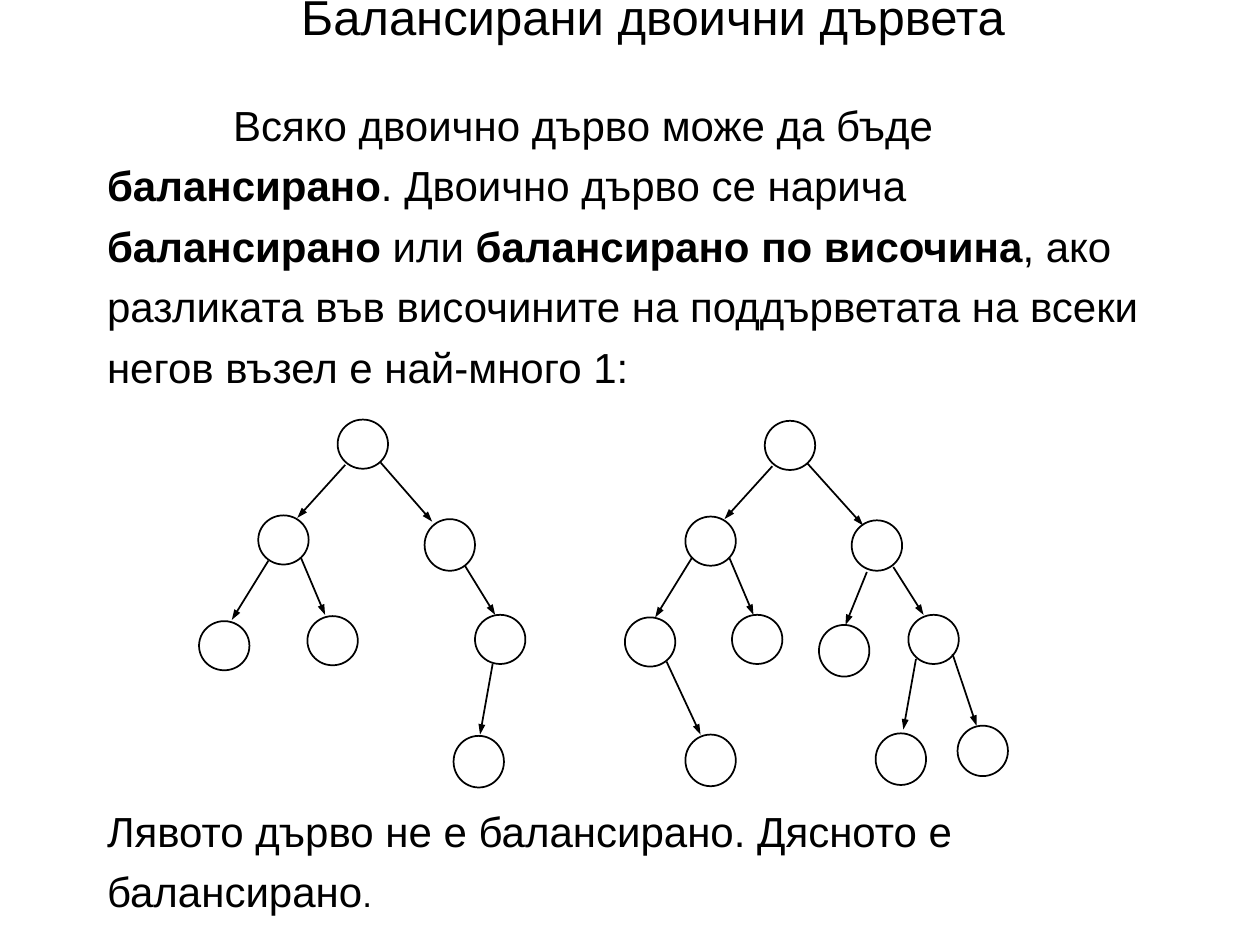
"""Build a slide about balanced binary trees with two example trees."""
from dataclasses import dataclass

from lxml.etree import SubElement
from pptx import Presentation
from pptx.dml.color import RGBColor
from pptx.enum.shapes import MSO_CONNECTOR as Connector, MSO_SHAPE as Shape
from pptx.enum.text import MSO_ANCHOR as Anchor, PP_ALIGN as Align
from pptx.oxml.ns import qn
from pptx.util import Inches, Pt


@dataclass(frozen=True)
class Theme:
    font: str = "Arial"
    ink: RGBColor = RGBColor(0, 0, 0)
    title: int = 28
    body: int = 24
    small: int = 20
    line: int = 1
    spacing: float = 1.2


THEME = Theme()
NODE_WIDTH = 0.4
TITLE = "Балансирани двоични дървета"
TITLE_BOX = (2.39, -0.11, 5.8, 0.45)

PASSAGES = [
    {"box": (0.85, 0.71, 8.3, 2.4), "indent": 1, "runs": [
        ("Всяко двоично дърво може да бъде ", THEME.body, False),
        ("балансирано", THEME.body, True),
        (". Двоично дърво се нарича ", THEME.body, False),
        ("балансирано", THEME.body, True),
        (" или ", THEME.body, False),
        ("балансирано по височина", THEME.body, True),
        (", ако разликата във височините на поддърветата на всеки "
         "негов възел е най-много 1:", THEME.body, False)]},
    {"box": (0.85, 6.31, 8.3, 0.95), "indent": 0, "runs": [
        ("Лявото дърво не е балансирано. Дясното е балансирано", THEME.body, False),
        (".", THEME.small, False)]},
]

TREES = [
    {"nodes": [(2.68, 3.33, 0.39), (2.05, 4.09, 0.39), (3.37, 4.12, 0.41),
               (1.58, 4.93, 0.39), (2.44, 4.89, 0.39), (3.77, 4.88, 0.39),
               (3.6, 5.84, 0.41)],
     "arrows": [(2.74, 3.69, 2.36, 4.11), (3.02, 3.67, 3.43, 4.14),
                (2.13, 4.45, 1.84, 4.92), (2.39, 4.43, 2.58, 4.88),
                (3.69, 4.49, 3.93, 4.88), (3.91, 5.27, 3.81, 5.83)]},
    {"nodes": [(6.07, 3.34, 0.39), (5.44, 4.1, 0.39), (6.76, 4.13, 0.4),
               (4.96, 4.9, 0.39), (5.81, 4.88, 0.39), (6.5, 4.96, 0.41),
               (7.21, 4.88, 0.39), (5.44, 5.83, 0.41), (6.95, 5.82, 0.41),
               (7.6, 5.76, 0.4)],
     "arrows": [(6.13, 3.7, 5.75, 4.12), (6.41, 3.68, 6.85, 4.17),
                (5.49, 4.43, 5.2, 4.9), (5.79, 4.43, 5.98, 4.88),
                (6.88, 4.54, 6.71, 4.96), (7.09, 4.5, 7.33, 4.88),
                (5.29, 5.25, 5.56, 5.83), (7.27, 5.23, 7.17, 5.79),
                (7.56, 5.19, 7.75, 5.76)]},
]


def prepare_frame(frame):
    frame.word_wrap = True
    frame.vertical_anchor = Anchor.TOP
    frame.margin_left = frame.margin_right = 0
    frame.margin_top = frame.margin_bottom = 0


def style_run(run, size, bold=False):
    run.font.name = THEME.font
    run.font.size = Pt(size)
    run.font.bold = bold
    run.font.color.rgb = THEME.ink


def style_line(line):
    line.color.rgb = THEME.ink
    line.width = Pt(THEME.line)


def set_title(slide):
    title = slide.shapes.title
    title.left, title.top, title.width, title.height = map(Inches, TITLE_BOX)
    prepare_frame(title.text_frame)
    title.text_frame.text = TITLE
    paragraph = title.text_frame.paragraphs[0]
    paragraph.alignment = Align.LEFT
    paragraph.line_spacing = 1.0
    paragraph.space_before = Pt(0)
    style_run(paragraph.runs[0], THEME.title)


def add_passage(slide, passage):
    frame = slide.shapes.add_textbox(*map(Inches, passage["box"])).text_frame
    prepare_frame(frame)
    paragraph = frame.paragraphs[0]
    paragraph.alignment = Align.LEFT
    paragraph.line_spacing = THEME.spacing
    paragraph._p.get_or_add_pPr().set("indent", str(Inches(passage["indent"])))
    for text, size, bold in passage["runs"]:
        run = paragraph.add_run()
        run.text = text
        style_run(run, size, bold)


def add_tree(slide, tree):
    group = slide.shapes.add_group_shape()
    for left, top, height in tree["nodes"]:
        box = map(Inches, (left, top, NODE_WIDTH, height))
        node = group.shapes.add_shape(Shape.OVAL, *box)
        node.shadow.inherit = False
        node.fill.background()
        style_line(node.line)
    for ends in tree["arrows"]:
        arrow = group.shapes.add_connector(Connector.STRAIGHT, *map(Inches, ends))
        style_line(arrow.line)
        SubElement(arrow.line._get_or_add_ln(), qn("a:tailEnd"), type="triangle", w="sm")
        SubElement(arrow._element.spPr, qn("a:effectLst"))


def main():
    presentation = Presentation()
    presentation.slide_width, presentation.slide_height = Inches(10), Inches(7.5)
    slide = presentation.slides.add_slide(presentation.slide_layouts[5])
    set_title(slide)
    for passage in PASSAGES:
        add_passage(slide, passage)
    for tree in TREES:
        add_tree(slide, tree)
    presentation.save("out.pptx")


if __name__ == "__main__":
    main()
